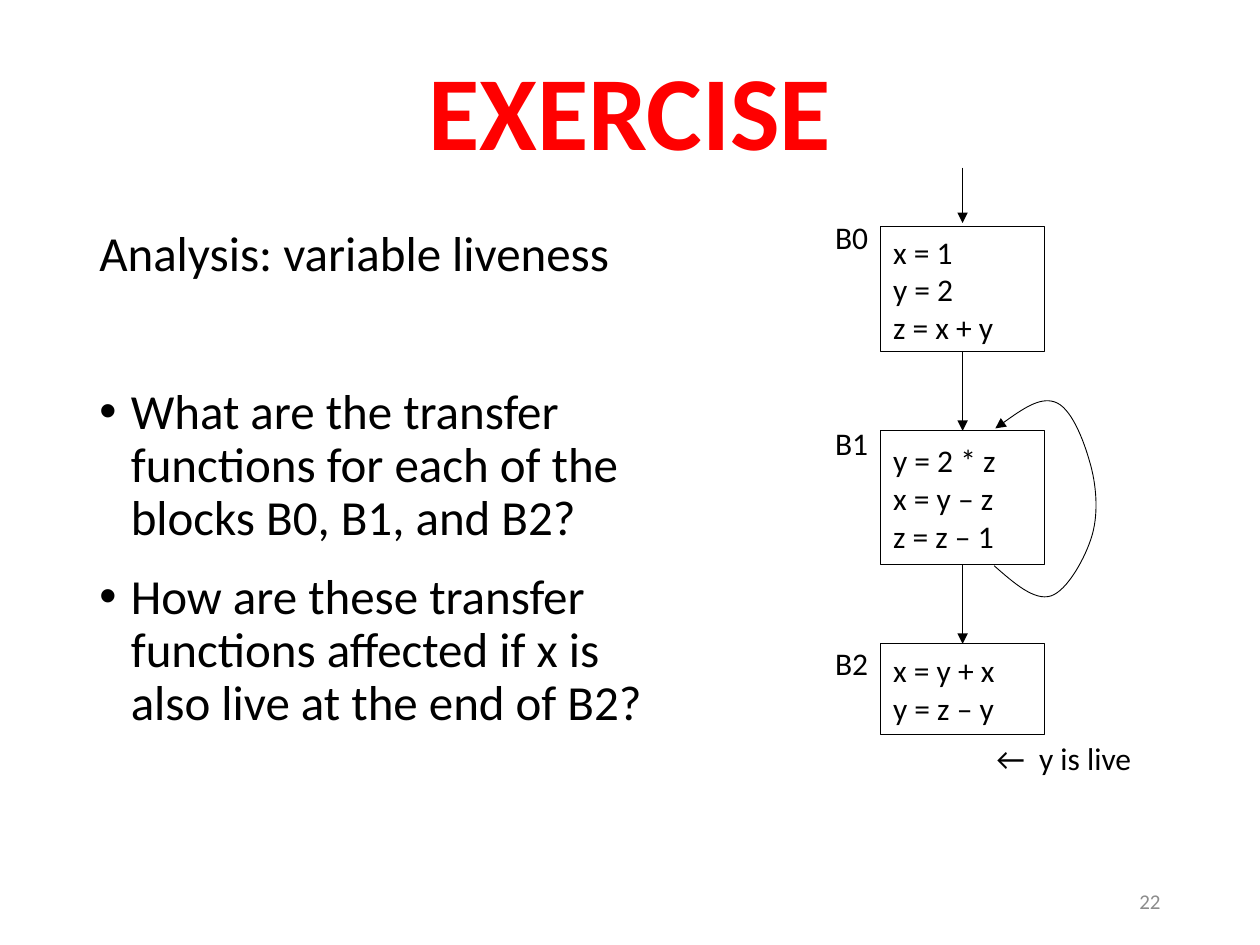
from lxml import etree
from pptx import Presentation, util as u
from pptx.dml.color import RGBColor
from pptx.enum import shapes as sh, text as tx
from pptx.oxml.ns import qn

HUES = {"ink": "000000", "red": "FF0000", "gray": "8C8C8C"}
IN = u.Inches

deck = Presentation()
deck.slide_width, deck.slide_height = IN(10), IN(7.5)
slide = deck.slides.add_slide(deck.slide_layouts[6])
parts = slide.shapes


def write(words, at=None, shape=None, size=18, hue="ink", bold=False, wrap=True,
          align="LEFT", anchor="TOP", lead=None, gaps=None, after=0, dots=()):
    """Fill a shape, or a new text box, with one paragraph per line."""
    if shape is None:
        shape = parts.add_textbox(*map(IN, at))
    frame = shape.text_frame
    frame.word_wrap = wrap
    frame.auto_size = tx.MSO_AUTO_SIZE.NONE if wrap else tx.MSO_AUTO_SIZE.SHAPE_TO_FIT_TEXT
    frame.vertical_anchor = getattr(tx.MSO_ANCHOR, anchor)
    for i, line in enumerate(words.split("\n")):
        para = frame.add_paragraph() if i else frame.paragraphs[0]
        if i in dots:
            props = para._p.get_or_add_pPr()
            props.set("marL", str(IN(0.25)))
            props.set("indent", str(IN(-0.25)))
            etree.SubElement(props, qn("a:buFont")).set("typeface", "Arial")
            etree.SubElement(props, qn("a:buChar")).set("char", "•")
        para.alignment = getattr(tx.PP_ALIGN, align)
        para.line_spacing = lead
        para.space_before = u.Pt(gaps[i] if gaps else 0)
        para.space_after = u.Pt(after)
        run = para.add_run()
        run.text = line
        font = run.font
        font.name, font.size, font.bold = "Calibri", u.Pt(size), bold
        font.color.rgb = RGBColor.from_string(HUES[hue])
    return shape


def stroke(shape, head=False):
    """Thin black line, no shadow, with an arrowhead if asked."""
    shape.line.color.rgb = RGBColor.from_string(HUES["ink"])
    shape.line.width = u.Pt(0.5)
    if head:
        etree.SubElement(shape.line._get_or_add_ln(), qn("a:tailEnd")).set("type", "triangle")
    etree.SubElement(shape._element.spPr, qn("a:effectLst"))


# Title, question text and page number
write("EXERCISE", (0.69, 0.4, 8.62, 1.05), size=60, hue="red", bold=True,
      align="CENTER", anchor="MIDDLE", lead=0.9)
write("Analysis: variable liveness\n"
      "What are the transfer functions for each of the blocks B0, B1, and B2?\n"
      "How are these transfer functions affected if x is also live at the end of B2?",
      (0.69, 1.77, 4.86, 4.99), size=28, lead=0.9, gaps=(0, 55, 10), after=5, dots=(1, 2))
write("22", (7.06, 6.95, 2.25, 0.4), size=12, hue="gray", align="RIGHT", anchor="MIDDLE")

# Basic blocks: name, top, height, label top, code
blocks = [
    ("B0", 1.8, 0.99, 1.68, "x = 1\ny = 2\nz = x + y"),
    ("B1", 3.42, 1.06, 3.32, "y = 2 * z\nx = y – z\nz = z – 1"),
    ("B2", 5.11, 0.72, 5.06, "x = y + x\ny = z – y"),
]
left, wide = 6.99, 1.3
mid = left + wide / 2
boxes = []
for name, top, high, tag, code in blocks:
    box = parts.add_shape(sh.MSO_SHAPE.RECTANGLE, IN(left), IN(top), IN(wide), IN(high))
    box.fill.background()
    stroke(box)
    write(code, shape=box, anchor="MIDDLE")
    write(name, (6.53, tag, 0.47, 0.4), wrap=False)
    boxes.append(box)
write("←  y is live", (7.81, 5.82, 1.31, 0.4), wrap=False)

# Straight flow: entry arrow, then block to block
flow = [(1.33, 1.77, None, None)]
for i in range(len(boxes) - 1):
    low = blocks[i][1] + blocks[i][2]
    flow.append((low, blocks[i + 1][1], boxes[i], boxes[i + 1]))
for start, end, above, below in flow:
    arrow = parts.add_connector(sh.MSO_CONNECTOR.STRAIGHT, IN(mid), IN(start), IN(mid), IN(end))
    if above is not None:
        arrow.begin_connect(above, 2)
        arrow.end_connect(below, 0)
    stroke(arrow, head=True)

# Loop back to B1: every three points make one Bezier curve
bends = [(8.05, 4.63), (8.21, 4.77), (8.34, 4.73),
         (8.47, 4.69), (8.62, 4.42), (8.67, 4.24),
         (8.72, 4.06), (8.7, 3.84), (8.65, 3.67),
         (8.6, 3.49), (8.5, 3.23), (8.37, 3.19),
         (8.25, 3.15), (8.08, 3.27), (7.9, 3.4)]
pen = parts.build_freeform(IN(7.89), IN(4.49))
pen.add_line_segments([(IN(x), IN(y)) for x, y in bends], close=False)
loop = pen.convert_to_shape()
loop.fill.background()
stroke(loop, head=True)
lines = list(loop._element.iter(qn("a:lnTo")))
for i in range(0, len(lines), 3):
    curve = etree.SubElement(lines[i].getparent(), qn("a:cubicBezTo"))
    for line in lines[i:i + 3]:
        curve.append(line[0])
        line.getparent().remove(line)

deck.save("out.pptx")
